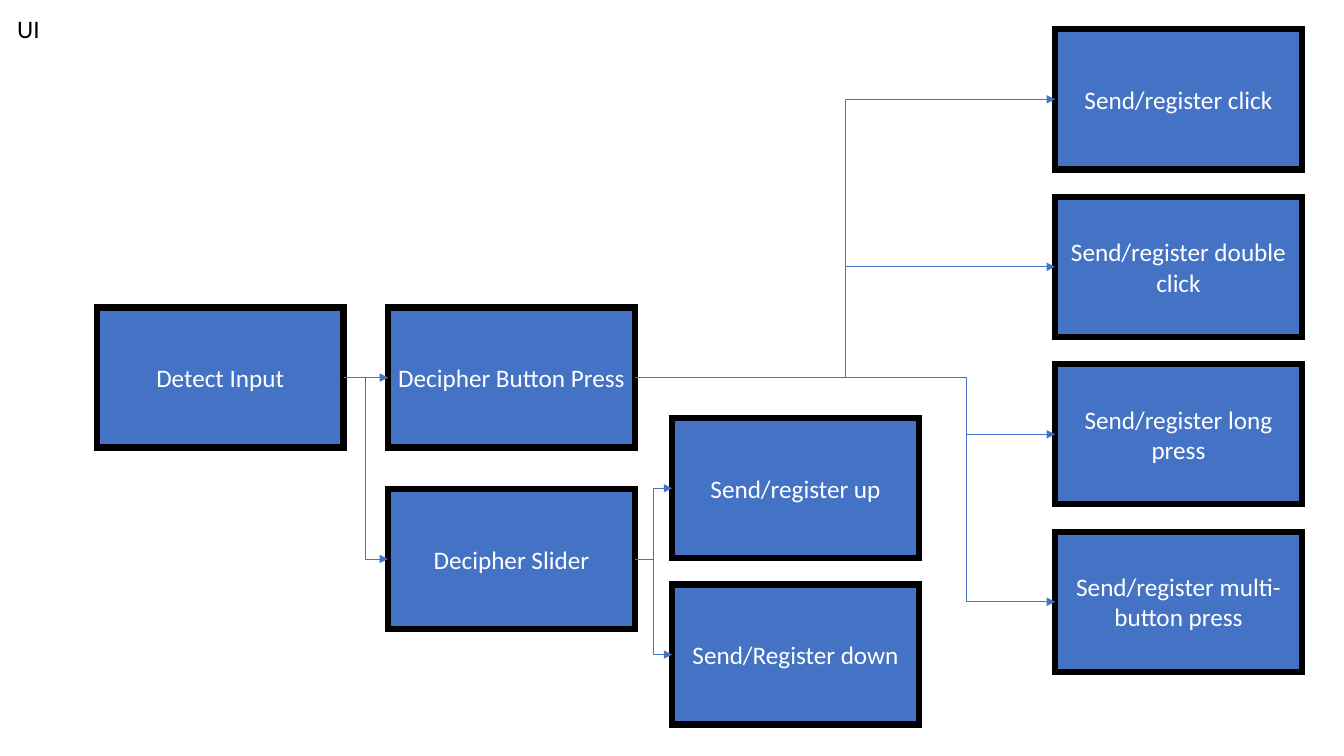
from lxml.etree import SubElement as Sub
from pptx import Presentation
from pptx.dml.color import RGBColor as Rgb
from pptx.enum.shapes import MSO_CONNECTOR as Link, MSO_SHAPE as Shape
from pptx.enum.text import MSO_ANCHOR as Anchor, MSO_AUTO_SIZE as Fit, PP_ALIGN as Align
from pptx.oxml.ns import qn
from pptx.util import Cm, Pt

# Theme
theme = {
    "blue": Rgb(0x44, 0x72, 0xC4),
    "black": Rgb(0, 0, 0),
    "white": Rgb(255, 255, 255),
    "font": "Calibri",
    "size": Pt(18),
    "edge": Pt(4.5),
    "wire": Pt(0.5),
}


def write(shape, text, ink, align, frame):
    """Put one formatted paragraph into a shape."""
    body = shape.text_frame
    body.text = text
    for key, val in frame.items():
        setattr(body, key, val)
    par = body.paragraphs[0]
    par.alignment = align
    look = {"name": theme["font"], "size": theme["size"], "bold": False}
    for key, val in look.items():
        setattr(par.runs[0].font, key, val)
    par.runs[0].font.color.rgb = theme[ink]


def stroke(line, ink, width):
    """Colour a line and return its XML element."""
    line.color.rgb = theme[ink]
    line.width = theme[width]
    return line._get_or_add_ln()


# Slide
deck = Presentation()
deck.slide_width, deck.slide_height = Cm(33.87), Cm(19.05)
slide = deck.slides.add_slide(deck.slide_layouts[5])

# Title
title = slide.shapes.title
place = {"left": 0.18, "top": 0.2, "width": 1.73, "height": 1.02}
for key, val in place.items():
    setattr(title, key, Cm(val))
write(title, "UI", "black", Align.LEFT,
      {"word_wrap": True, "vertical_anchor": Anchor.TOP,
       "auto_size": Fit.SHAPE_TO_FIT_TEXT})

# Boxes: key, left, top, text
wide, high = 6.22, 3.53
steps = [
    ("input", 2.44, 7.75, "Detect Input"),
    ("press", 9.78, 7.75, "Decipher Button Press"),
    ("slider", 9.78, 12.32, "Decipher Slider"),
    ("down", 16.94, 14.73, "Send/Register down"),
    ("up", 16.94, 10.54, "Send/register up"),
]
acts = ["click", "double click", "long press", "multi-button press"]
steps += [(act, 26.59, 0.74 + 4.22 * row, f"Send/register {act}")
          for row, act in enumerate(acts)]

boxes = {}
for key, left, top, text in steps:
    box = slide.shapes.add_shape(
        Shape.RECTANGLE, Cm(left), Cm(top), Cm(wide), Cm(high))
    box.shadow.inherit = False
    box.fill.solid()
    box.fill.fore_color.rgb = theme["blue"]
    Sub(stroke(box.line, "black", "edge"), qn("a:miter"), lim="800000")
    write(box, text, "white", Align.CENTER,
          {"word_wrap": True, "vertical_anchor": Anchor.MIDDLE})
    boxes[key] = box

# Arrows: start, end, bend as a share of the width (0 for straight)
links = [
    ("input", "press", 0),
    ("input", "slider", 0.5),
    ("slider", "up", 0.5),
    ("slider", "down", 0.5),
    ("press", "click", 0.5),
    ("press", "double click", 0.5),
    ("press", "long press", 0.789),
    ("press", "multi-button press", 0.789),
]
right, left = 3, 1
for start, end, bend in links:
    wire = slide.shapes.add_connector(
        Link.ELBOW if bend else Link.STRAIGHT, 0, 0, 0, 0)
    wire.begin_connect(boxes[start], right)
    wire.end_connect(boxes[end], left)
    line = stroke(wire.line, "blue", "wire")
    Sub(line, qn("a:tailEnd"), type="triangle")
    props = wire._element.spPr
    Sub(props, qn("a:effectLst"))
    if bend:
        guides = props.find(qn("a:prstGeom")).find(qn("a:avLst"))
        Sub(guides, qn("a:gd"), name="adj1", fmla=f"val {round(bend * 100000)}")

deck.save("out.pptx")
